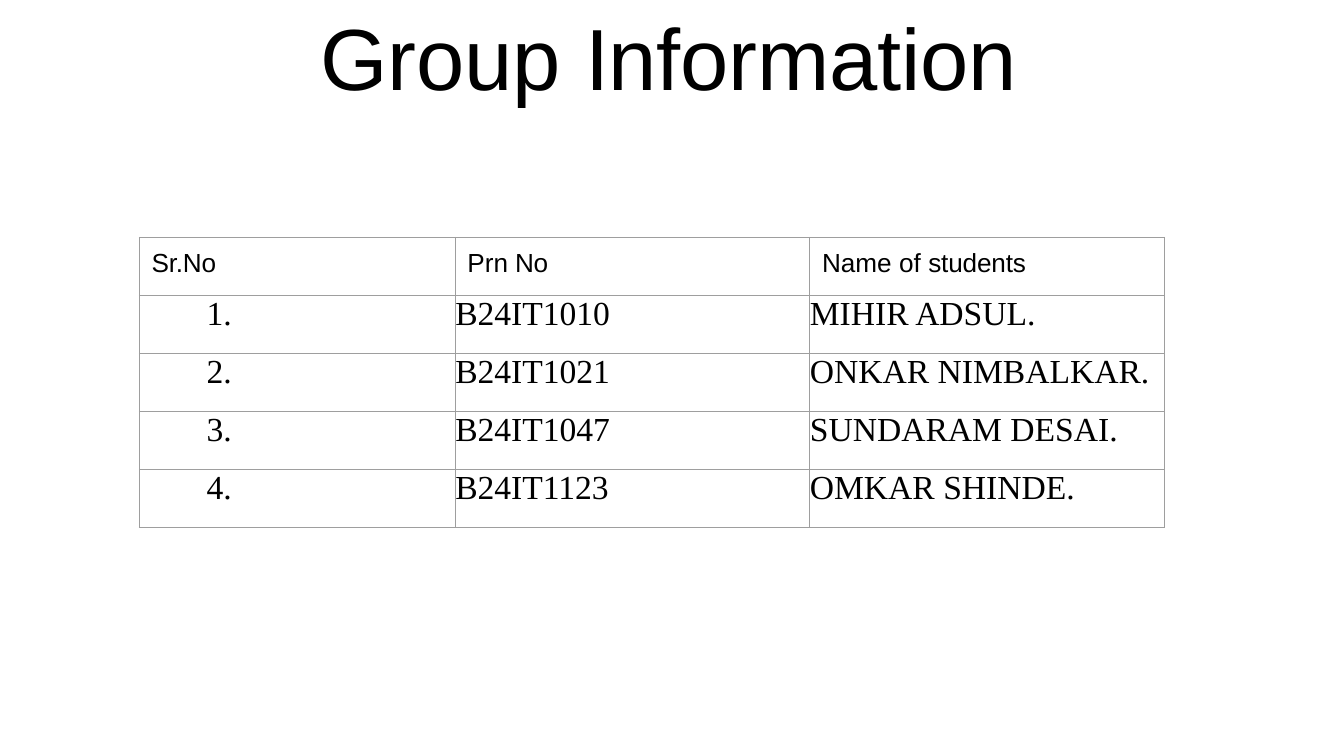
from dataclasses import dataclass

import lxml.etree
import pptx
import pptx.dml.color
import pptx.enum.text
import pptx.oxml.ns
import pptx.util

Pt = pptx.util.Pt


@dataclass(frozen=True)
class Theme:
    ink: str = "000000"
    grid: str = "9E9E9E"
    paper: str = "FFFFFF"
    sans: str = "Arial"
    serif: str = "Times New Roman"
    title_size: float = 46.5
    header_size: float = 14
    body_size: float = 18
    grid_width: float = 0.75


THEME = Theme()
COLUMN_WIDTHS = (169.2, 190, 190)
ROW_HEIGHT = 31.1
NUMBER_INDENT = 36

# Each heading is a list of (words, letter spacing in points)
HEADINGS = (
    [("Sr.No", -0.1)],
    [("Prn", 0), (" No", -0.2)],
    [("Name of ", 0), ("students", -0.1)],
)
STUDENTS = (
    ("B24IT1010", "MIHIR ADSUL."),
    ("B24IT1021", "ONKAR NIMBALKAR."),
    ("B24IT1047", "SUNDARAM DESAI."),
    ("B24IT1123", "OMKAR SHINDE."),
)


def rgb(value):
    return pptx.dml.color.RGBColor.from_string(value)


def add_runs(paragraph, pieces, font, size, indent=0):
    paragraph.alignment = pptx.enum.text.PP_ALIGN.LEFT
    properties = paragraph._p.get_or_add_pPr()
    properties.set("marL", str(Pt(indent)))
    properties.set("indent", "0")
    for words, spacing in pieces:
        run = paragraph.add_run()
        run.text = words
        run.font.name = font
        run.font.size = Pt(size)
        run.font.color.rgb = rgb(THEME.ink)
        if spacing:
            run._r.get_or_add_rPr().set("spc", str(round(spacing * 100)))


def set_insets(target, top=0):
    target.margin_left = target.margin_right = target.margin_bottom = Pt(0)
    target.margin_top = Pt(top)


def add_borders(cell):
    qn = pptx.oxml.ns.qn
    properties = cell._tc.get_or_add_tcPr()
    for position, side in enumerate(("lnL", "lnR", "lnT", "lnB")):
        line = lxml.etree.Element(qn(f"a:{side}"), w=str(Pt(THEME.grid_width)))
        fill = lxml.etree.SubElement(line, qn("a:solidFill"))
        lxml.etree.SubElement(fill, qn("a:srgbClr"), val=THEME.grid)
        properties.insert(position, line)


def fill_cell(cell, pieces, font, size, top=0, indent=0):
    set_insets(cell, top)
    cell.fill.solid()
    cell.fill.fore_color.rgb = rgb(THEME.paper)
    add_borders(cell)
    add_runs(cell.text_frame.paragraphs[0], pieces, font, size, indent)


def add_title(slide):
    frame = slide.shapes.add_textbox(Pt(170.6), Pt(-0.7), Pt(378.7), Pt(58.3)).text_frame
    frame.word_wrap = True
    frame.vertical_anchor = pptx.enum.text.MSO_ANCHOR.BOTTOM
    set_insets(frame, 1.3)
    add_runs(frame.paragraphs[0], [("Group ", 0), ("Information", -0.1)],
             THEME.sans, THEME.title_size, 0.9)


def add_student_table(slide):
    row_count = len(STUDENTS) + 1
    table = slide.shapes.add_table(
        row_count, len(HEADINGS), Pt(74.7), Pt(127.2),
        Pt(sum(COLUMN_WIDTHS)), Pt(ROW_HEIGHT * row_count)).table
    table.first_row = table.horz_banding = False
    for column, width in zip(table.columns, COLUMN_WIDTHS):
        column.width = Pt(width)
    for row in table.rows:
        row.height = Pt(ROW_HEIGHT)

    # Heading row
    for column, pieces in enumerate(HEADINGS):
        fill_cell(table.cell(0, column), pieces, THEME.sans, THEME.header_size,
                  top=6.2, indent=6.5)

    # One numbered row per student
    for number, student in enumerate(STUDENTS, start=1):
        for column, words in enumerate((f"{number}.", *student)):
            fill_cell(table.cell(number, column), [(words, 0)], THEME.serif,
                      THEME.body_size, indent=0 if column else NUMBER_INDENT)


def main():
    deck = pptx.Presentation()
    deck.slide_width, deck.slide_height = Pt(720), Pt(405)
    slide = deck.slides.add_slide(deck.slide_layouts[6])
    add_title(slide)
    add_student_table(slide)
    deck.save("out.pptx")


if __name__ == "__main__":
    main()
